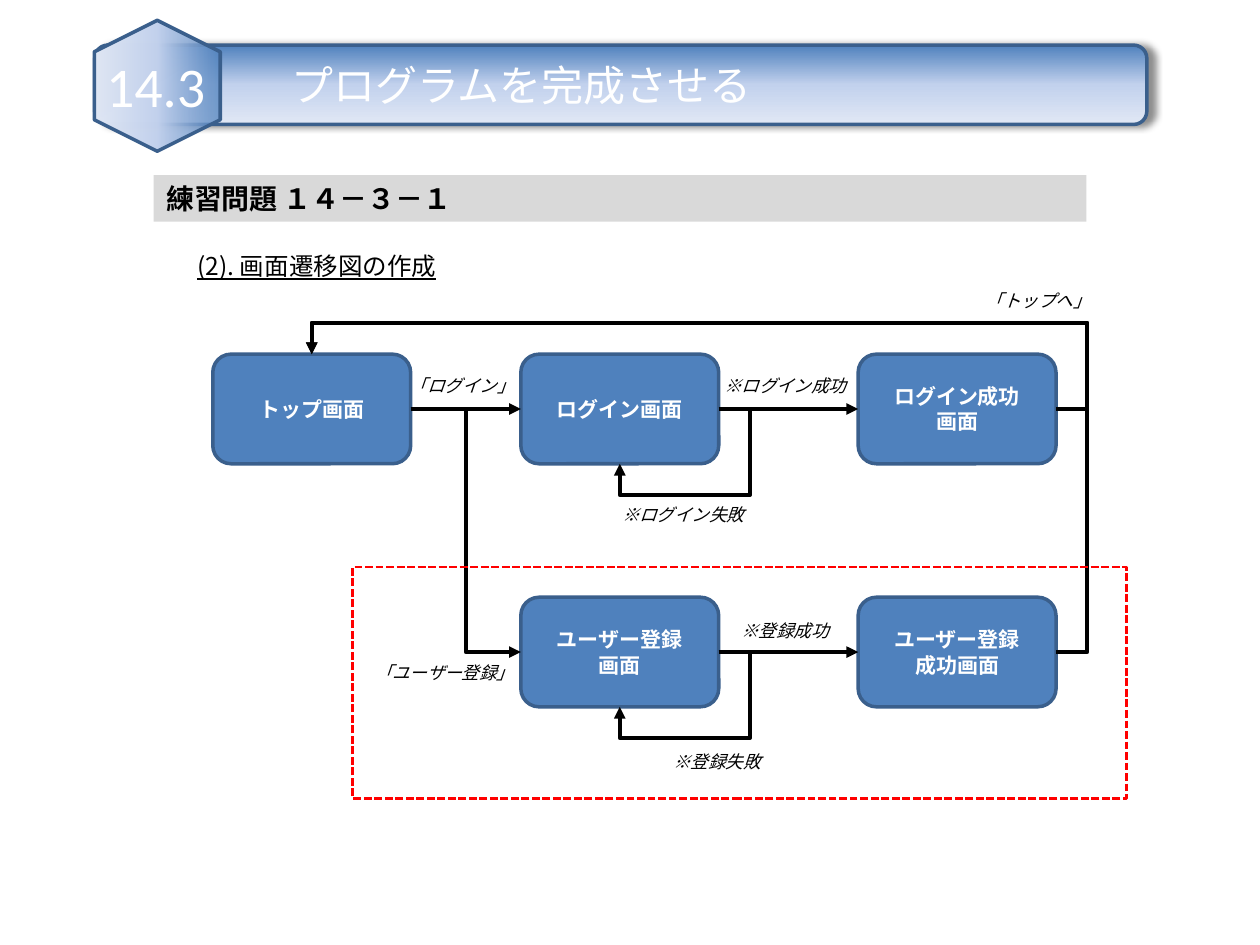
import pptx
import pptx.util
import pptx.dml.color
import pptx.enum.dml
import pptx.enum.shapes
import pptx.enum.text
import pptx.oxml.ns
import lxml.etree

Cm = pptx.util.Cm
Pt = pptx.util.Pt
KIND = pptx.enum.shapes.MSO_SHAPE
LINK = pptx.enum.shapes.MSO_CONNECTOR
ALIGN = pptx.enum.text.PP_ALIGN
ANCHOR = pptx.enum.text.MSO_ANCHOR
FIT = pptx.enum.text.MSO_AUTO_SIZE
qn = pptx.oxml.ns.qn

COLOR = {"blue": "4F81BD", "edge": "3A5F8C", "mid": "C2D1ED", "pale": "E1E8F5",
         "white": "FFFFFF", "black": "000000", "gray": "D9D9D9", "red": "FF0000"}
SANS = "Noto Sans CJK JP"
WIDE, HIGH, GAP = 3.99, 2.21, 0.63
COLS, ROWS = (4.29, 10.5, 17.3), (7.14, 12.04)


def rgb(name):
    return pptx.dml.color.RGBColor.from_string(COLOR[name])


def child(node, tag, **attrs):
    item = lxml.etree.SubElement(node, qn(tag))
    for key, value in attrs.items():
        item.set(key, str(value))
    return item


def write(frame, lines, size, color, font=SANS, align=ALIGN.LEFT,
          bold=None, italic=None, under=None):
    for num, line in enumerate(lines):
        para = frame.paragraphs[0] if num == 0 else frame.add_paragraph()
        para.alignment = align
        run = para.add_run()
        run.text = line
        face = run.font
        face.name, face.size = font, Pt(size)
        face.bold, face.italic, face.underline = bold, italic, under
        face.color.rgb = rgb(color)
        child(run.font._element, "a:ea", typeface=SANS)


def shape(slide, kind, place, fill=None, edge=None, width=2):
    item = slide.shapes.add_shape(kind, *map(Cm, place))
    item.shadow.inherit = False
    if fill:
        item.fill.solid()
        item.fill.fore_color.rgb = rgb(fill)
    else:
        item.fill.background()
    if edge:
        item.line.color.rgb = rgb(edge)
        item.line.width = Pt(width)
    else:
        item.line.fill.background()
    item.text_frame.word_wrap = True
    item.text_frame.vertical_anchor = ANCHOR.MIDDLE
    return item


def fade(item, alpha=100):
    item.fill.gradient()
    item.fill.gradient_angle = 270
    stops = item.element.spPr.find(".//" + qn("a:gsLst"))
    for stop in list(stops):
        stops.remove(stop)
    for pos, name in ((0, "blue"), (50, "mid"), (100, "pale")):
        stop = child(stops, "a:gs", pos=pos * 1000)
        tint = child(stop, "a:srgbClr", val=COLOR[name])
        if pos == 0 and alpha < 100:
            child(tint, "a:alpha", val=alpha * 1000)


def shade(item):
    glow = child(item.element.spPr.find(qn("a:effectLst")), "a:outerShdw",
                 blurRad=Pt(4), dist=Pt(4), dir=0, algn="l", rotWithShape=0)
    child(child(glow, "a:srgbClr", val=COLOR["black"]), "a:alpha", val=43000)


def text(slide, place, line, size, color="black", wrap=False, **style):
    box = slide.shapes.add_textbox(*map(Cm, place))
    box.text_frame.word_wrap = wrap
    box.text_frame.auto_size = FIT.SHAPE_TO_FIT_TEXT
    write(box.text_frame, [line], size, color, **style)
    return box


def screen(slide, col, row, lines):
    box = shape(slide, KIND.ROUNDED_RECTANGLE, (COLS[col], ROWS[row], WIDE, HIGH),
                "blue", "edge")
    write(box.text_frame, lines, 12, "white", align=ALIGN.CENTER, bold=True)
    return box


def site(box, side):
    mid = box.left + box.width // 2, box.top + box.height // 2
    return ((mid[0], box.top), (box.left, mid[1]),
            (mid[0], box.top + box.height), (box.left + box.width, mid[1]))[side]


def arrow(slide, start, end, side=1, kind=LINK.STRAIGHT):
    line = slide.shapes.add_connector(kind, *site(start, 3), *site(end, side))
    line.begin_connect(start, 3)
    line.end_connect(end, side)
    line.line.color.rgb = rgb("black")
    line.line.width = Pt(2.25)
    child(line.line._get_or_add_ln(), "a:tailEnd", type="triangle")
    child(line.element.spPr, "a:effectLst")
    return line


def loop(slide, start, end, side):
    line = arrow(slide, start, end, side, LINK.ELBOW)
    geom = line.element.spPr.find(qn("a:prstGeom"))
    geom.set("prst", "bentConnector4")
    guides = geom.find(qn("a:avLst"))
    if guides is None:
        guides = child(geom, "a:avLst")
    for name, part in (("adj1", -Cm(GAP) / line.width),
                       ("adj2", 1 + Cm(GAP) / line.height)):
        child(guides, "a:gd", name=name, fmla=f"val {round(part * 100000)}")


def header(slide):
    bar = shape(slide, KIND.ROUNDED_RECTANGLE, (1.91, 0.91, 21.21, 1.6), "blue", "edge")
    fade(bar)
    shade(bar)
    bar.text_frame.margin_left = Cm(3.88)
    write(bar.text_frame, ["プログラムを完成させる"], 24, "white", "Arial")
    badge = shape(slide, KIND.HEXAGON, (1.85, 0.46, 2.64, 2.54), "blue", "edge")
    badge.rotation = 90
    fade(badge, 74)
    label = text(slide, (1.91, 1.04, 2.46, 1.37), "14.3", 32, "white", True,
                 font="Calibri", align=ALIGN.CENTER)
    frame = label.text_frame
    frame.vertical_anchor = ANCHOR.MIDDLE
    frame.margin_left = frame.margin_right = frame.margin_top = frame.margin_bottom = 0


def chart(slide):
    top = screen(slide, 0, 0, ["トップ画面"])
    login = screen(slide, 1, 0, ["ログイン画面"])
    join = screen(slide, 1, 1, ["ユーザー登録", "画面"])
    entered = screen(slide, 2, 0, ["ログイン成功", "画面"])
    joined = screen(slide, 2, 1, ["ユーザー登録", "成功画面"])
    for start, end in ((top, login), (login, entered), (join, joined)):
        arrow(slide, start, end)
    arrow(slide, top, join, kind=LINK.ELBOW)
    for start, end, side in ((entered, top, 0), (joined, top, 0),
                             (login, login, 2), (join, join, 2)):
        loop(slide, start, end, side)
    for left, high, wide, line in (
            (8, 7.44, 2.64, "「ログイン」"), (14.33, 7.44, 3, "※ログイン成功"),
            (19.61, 5.72, 2.64, "「トップへ」"), (12.27, 10.03, 3, "※ログイン失敗"),
            (14.68, 12.37, 2.29, "※登録成功"), (13.31, 15.01, 2.29, "※登録失敗"),
            (7.29, 13.23, 3.35, "「ユーザー登録」")):
        text(slide, (left, high, wide, 0.69), line, 10, align=ALIGN.CENTER, italic=True)


def main():
    deck = pptx.Presentation()
    deck.slide_width, deck.slide_height = Cm(25.4), Cm(19.05)
    slide = deck.slides.add_slide(deck.slide_layouts[6])
    header(slide)
    text(slide, (3.73, 4.93, 5.74, 0.86), "(2). 画面遷移図の作成", 14, under=True)
    chart(slide)
    band = shape(slide, KIND.RECTANGLE, (3.1, 3.53, 18.8, 0.94), "gray")
    band.text_frame.vertical_anchor = ANCHOR.TOP
    band.text_frame.auto_size = FIT.SHAPE_TO_FIT_TEXT
    write(band.text_frame, ["練習問題 １４－３－１"], 16, "black", bold=True)
    band.text_frame.paragraphs[0].space_before = Pt(6)
    zone = shape(slide, KIND.RECTANGLE, (7.11, 11.43, 15.6, 4.67), None, "red", 1.5)
    zone.line.dash_style = pptx.enum.dml.MSO_LINE.SQUARE_DOT
    deck.save("out.pptx")


if __name__ == "__main__":
    main()
